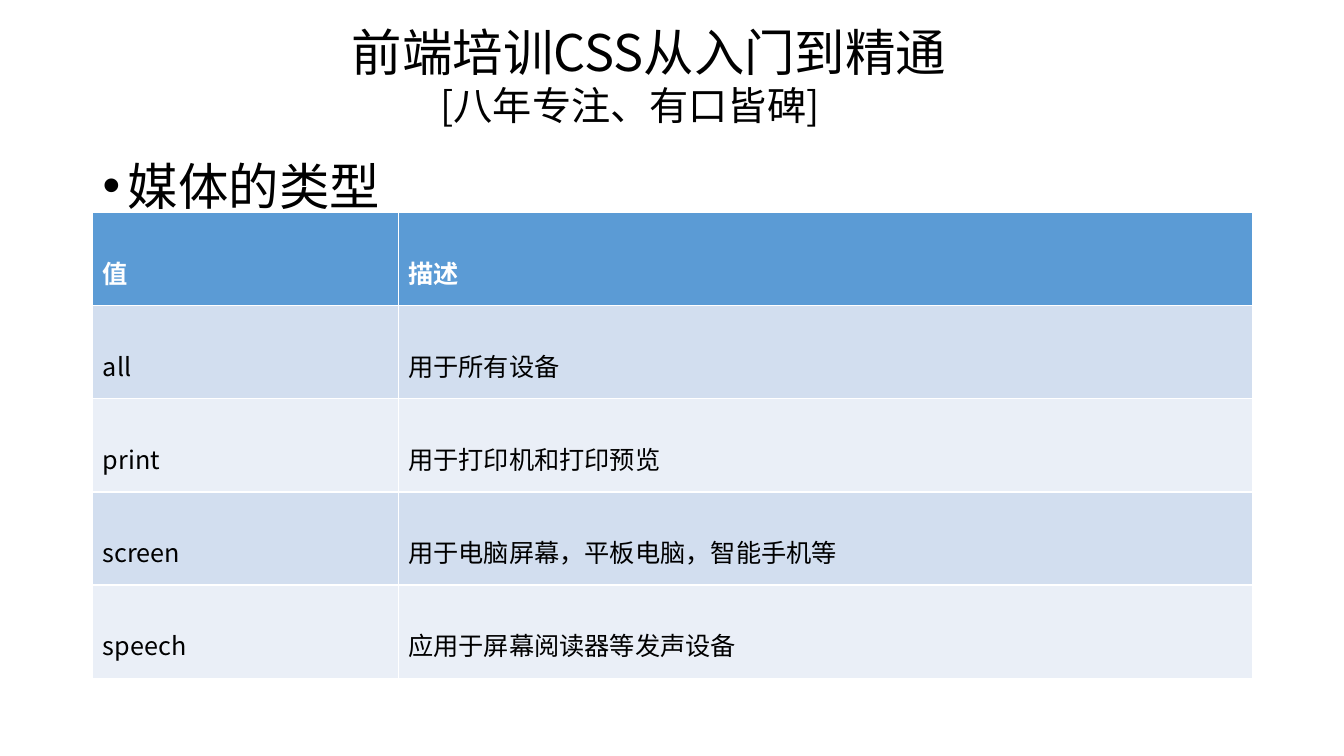
"""Build a slide with a table of CSS media types."""
from dataclasses import dataclass

from lxml import etree
from pptx import Presentation
from pptx.dml.color import RGBColor
from pptx.enum.text import MSO_ANCHOR, MSO_AUTO_SIZE, PP_ALIGN
from pptx.oxml.ns import qn
from pptx.util import Inches, Pt

TOP = MSO_ANCHOR.TOP
LEFT = PP_ALIGN.LEFT
FIXED = MSO_AUTO_SIZE.NONE
SANS = "Noto Sans CJK SC"
BLACK, WHITE = "000000", "FFFFFF"
HEAD = "5B9BD5"
BANDS = ("D2DEEF", "EAEFF7")
COLS = (3.03, 8.47)


@dataclass(frozen=True)
class Style:
    """Look of the text in a paragraph."""
    size: int
    color: str = BLACK
    bold: bool = False
    face: str = SANS


@dataclass(frozen=True)
class Entry:
    """A table row: value and description."""
    value: str
    note: str


ROWS = (
    Entry("值", "描述"),
    Entry("all", "用于所有设备"),
    Entry("print", "用于打印机和打印预览"),
    Entry("screen", "用于电脑屏幕，平板电脑，智能手机等"),
    Entry("speech", "应用于屏幕阅读器等发声设备"),
)


def rgb(code: str) -> RGBColor:
    """Turn a hex string into a colour."""
    return RGBColor.from_string(code)


def write(para, text: str, style: Style) -> None:
    """Put styled text in a paragraph."""
    para.text = text
    for run in para.runs:
        font = run.font
        font.name, font.size, font.bold = style.face, Pt(style.size), style.bold
        font.color.rgb = rgb(style.color)
        etree.SubElement(font._element, qn("a:ea")).set("typeface", SANS)


def indent(para, left: float, first: float = 0):
    """Set left margin and first-line indent; return the properties."""
    props = para._p.get_or_add_pPr()
    props.set("marL", str(Inches(left)))
    props.set("indent", str(Inches(first)))
    return props


def add_title(slide) -> None:
    """Fill the title with the course name and its slogan."""
    title = slide.shapes.title
    title.left, title.top = Inches(3.39), Inches(0.16)
    title.width, title.height = Inches(8.19), Inches(1.61)
    frame = title.text_frame
    frame.auto_size, frame.vertical_anchor = FIXED, TOP
    name, motto = frame.paragraphs[0], frame.add_paragraph()
    write(name, "前端培训CSS从入门到精通", Style(36))
    write(motto, "[八年专注、有口皆碑]", Style(28))
    name.alignment = motto.alignment = LEFT
    indent(motto, 0.88)


def add_topic(slide) -> None:
    """Add the bulleted topic line."""
    box = slide.shapes.add_textbox(
        Inches(0.92), Inches(1.19), Inches(11.5), Inches(5.88))
    frame = box.text_frame
    frame.word_wrap = True
    para = frame.paragraphs[0]
    para.line_spacing = 1.5
    props = indent(para, 0.25, -0.25)
    etree.SubElement(props, qn("a:buFont")).set("typeface", "Arial")
    etree.SubElement(props, qn("a:buChar")).set("char", "•")
    write(para, "媒体的类型", Style(36, face="Arial"))


def add_types(slide) -> None:
    """Add the table of media types."""
    table = slide.shapes.add_table(
        len(ROWS), len(COLS), Inches(0.92), Inches(2.11),
        Inches(sum(COLS)), Inches(4.62)).table
    for col, width in zip(table.columns, COLS):
        col.width = Inches(width)
    for i, entry in enumerate(ROWS):
        style = Style(18) if i else Style(18, WHITE, True)
        fill = BANDS[(i - 1) % 2] if i else HEAD
        for j, text in enumerate((entry.value, entry.note)):
            cell = table.cell(i, j)
            cell.fill.solid()
            cell.fill.fore_color.rgb = rgb(fill)
            para = cell.text_frame.paragraphs[0]
            para.line_spacing = 2.0
            write(para, text, style)


def main() -> None:
    """Build and save the deck."""
    deck = Presentation()
    deck.slide_width, deck.slide_height = Inches(13.33), Inches(7.5)
    slide = deck.slides.add_slide(deck.slide_layouts[5])
    add_topic(slide)
    add_title(slide)
    add_types(slide)
    deck.save("out.pptx")


if __name__ == "__main__":
    main()
